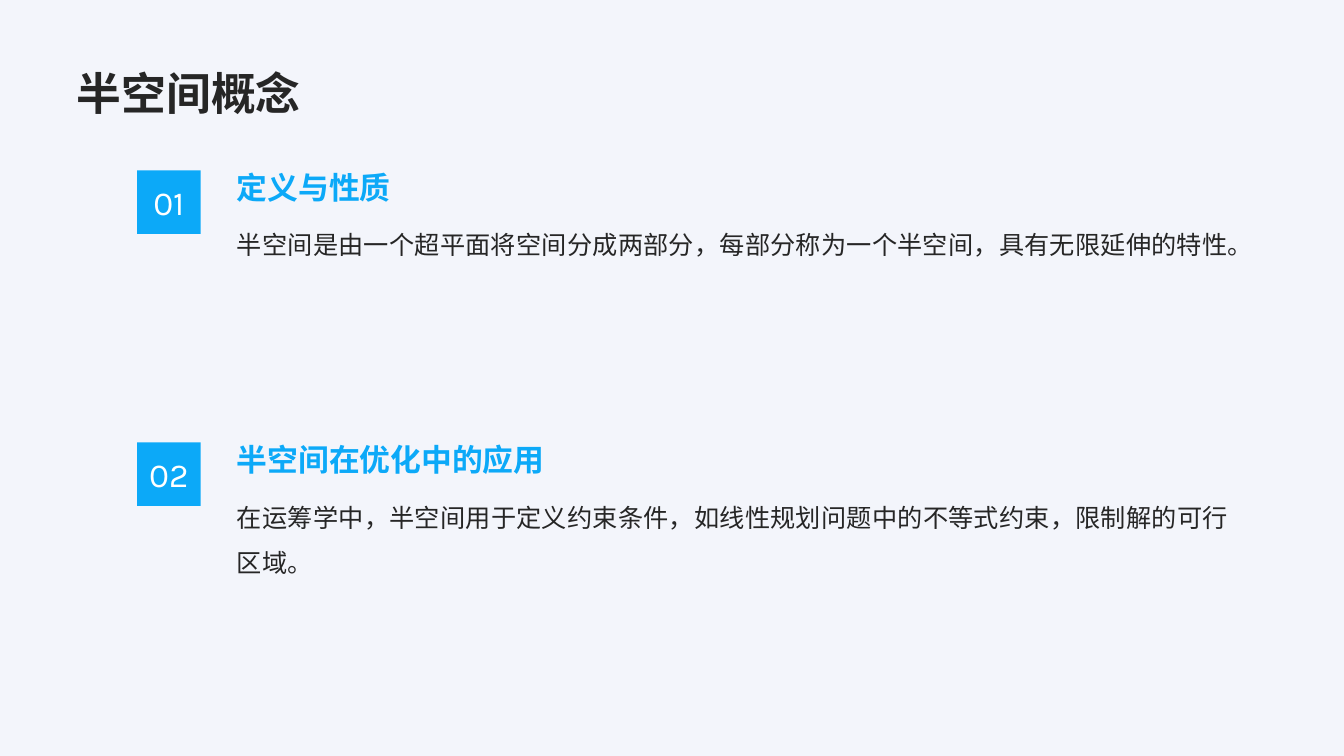
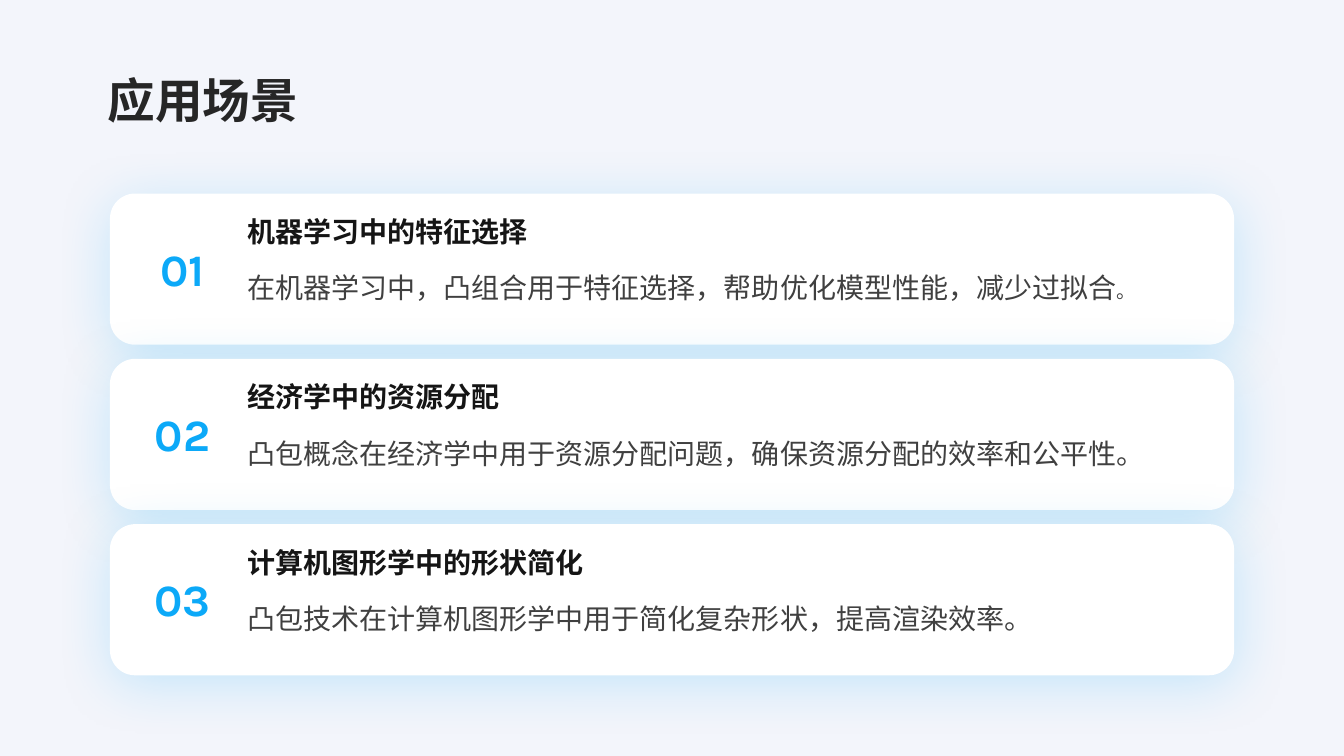
from lxml.etree import SubElement
from pptx import Presentation
from pptx.dml.color import RGBColor
from pptx.enum.lang import MSO_LANGUAGE_ID
from pptx.enum.shapes import MSO_SHAPE
from pptx.enum.text import MSO_ANCHOR, PP_ALIGN
from pptx.oxml.ns import qn
from pptx.util import Inches, Pt

COLORS = {
    "background": "F3F5FB",
    "accent": "0CA9F8",
    "dark": "262626",
    "heading": "151515",
    "body": "404040",
    "white": "FFFFFF",
}
LATIN, CJK, TITLE = "Karla", "Noto Sans CJK SC", "Noto Sans CJK JP"


def add_run(p, text, size, color, font=LATIN, bold=False):
    r = p.add_run()
    r.text = text
    r.font.size = Pt(size)
    r.font.bold = bold
    r.font.name = font
    r.font.color.rgb = RGBColor.from_string(COLORS[color])
    r.font.language_id = MSO_LANGUAGE_ID.SIMPLIFIED_CHINESE
    ea = SubElement(r.font._element, qn("a:ea"))
    ea.set("typeface", CJK if font == LATIN else font)


def add_text(s, text, box, size, color, font=LATIN, bold=False, align=PP_ALIGN.LEFT,
             anchor=MSO_ANCHOR.TOP, spacing=None, inset=False, wrap=True, fill=None):
    box = [Inches(v) for v in box]
    if fill:
        sp = s.shapes.add_shape(MSO_SHAPE.RECTANGLE, *box)
        sp.shadow.inherit = False
        sp.fill.solid()
        sp.fill.fore_color.rgb = RGBColor.from_string(COLORS[fill])
        sp.line.fill.background()
    else:
        sp = s.shapes.add_textbox(*box)
    tf = sp.text_frame
    tf.word_wrap = wrap
    tf.vertical_anchor = anchor
    if not inset:
        tf.margin_left = tf.margin_right = tf.margin_top = tf.margin_bottom = 0
    p = tf.paragraphs[0]
    p.alignment = align
    if spacing:
        p.line_spacing = spacing
    add_run(p, text, size, color, font, bold)
    return p


prs = Presentation()
prs.slide_width, prs.slide_height = Inches(13.33), Inches(7.5)
blank = prs.slide_layouts[6]

# Shared background and styles
bg = prs.slide_master.background.fill
bg.solid()
bg.fore_color.rgb = RGBColor.from_string(COLORS["background"])
title_style = dict(color="dark", font=TITLE, bold=True, anchor=MSO_ANCHOR.BOTTOM)
body_style = dict(align=PP_ALIGN.JUSTIFY, spacing=1.5)
number_style = dict(align=PP_ALIGN.CENTER, anchor=MSO_ANCHOR.MIDDLE)

# Slide 1: half-space concept
s = prs.slides.add_slide(blank)
add_text(s, "半空间概念", (0.76, 0.39, 11.81, 0.79), 32, **title_style)

concepts = [
    ("定义与性质",
     "半空间是由一个超平面将空间分成两部分，每部分称为一个半空间，具有无限延伸的特性。"),
    ("半空间在优化中的应用",
     "在运筹学中，半空间用于定义约束条件，如线性规划问题中的不等式约束，限制解的可行区域。"),
]
for i, (heading, body) in enumerate(concepts):
    top = 1.61 + 2.7 * i
    add_text(s, body, (2.35, top + 0.52, 9.84, 1.96), 18, "dark", **body_style)
    add_text(s, heading, (2.35, top, 9.84, 0.5), 22, "accent", bold=True,
             align=PP_ALIGN.JUSTIFY, anchor=MSO_ANCHOR.MIDDLE)
    add_text(s, f"{i + 1:02d}", (1.36, top + 0.08, 0.63, 0.63), 24, "white",
             fill="accent", **number_style)

# Slide 2: application cards
s = prs.slides.add_slide(blank)
add_text(s, "应用场景", (0.97, 0.36, 11.39, 0.96), 34, spacing=1.5, inset=True, **title_style)

# Heading, body, and a closing mark set in smaller type
cards = [
    ("机器学习中的特征选择",
     "在机器学习中，凸组合用于特征选择，帮助优化模型性能，减少过拟合", "。"),
    ("经济学中的资源分配",
     "凸包概念在经济学中用于资源分配问题，确保资源分配的效率和公平性。", ""),
    ("计算机图形学中的形状简化",
     "凸包技术在计算机图形学中用于简化复杂形状，提高渲染效率。", ""),
]
for i, (heading, body, small_mark) in enumerate(cards):
    top = 1.92 + 1.64 * i

    # Card with a soft accent shadow
    card = s.shapes.add_shape(MSO_SHAPE.ROUNDED_RECTANGLE, Inches(1.09), Inches(top),
                              Inches(11.15), Inches(1.5))
    card.fill.solid()
    card.fill.fore_color.rgb = RGBColor.from_string(COLORS["white"])
    card.line.fill.background()
    card.shadow.inherit = False
    effects = card._element.spPr.find(qn("a:effectLst"))
    shadow = SubElement(effects, qn("a:outerShdw"), blurRad=str(Pt(40)), dist=str(Pt(6)),
                        dir="5400000", algn="t", rotWithShape="0")
    tint = SubElement(shadow, qn("a:srgbClr"), val=COLORS["accent"])
    SubElement(tint, qn("a:alpha"), val="20000")

    # Number, body and heading
    add_text(s, f"{i + 1:02d}", (1.33, top + 0.43, 0.96, 0.62), 32, "accent", bold=True,
             inset=True, wrap=False, **number_style)
    p = add_text(s, body, (2.45, top + 0.6, 9.28, 0.77), 20, "body", font=CJK, **body_style)
    if small_mark:
        add_run(p, small_mark, 14, "body")
    add_text(s, heading, (2.45, top + 0.15, 9.28, 0.45), 20, "heading", bold=True,
             anchor=MSO_ANCHOR.MIDDLE)

prs.save("out.pptx")
